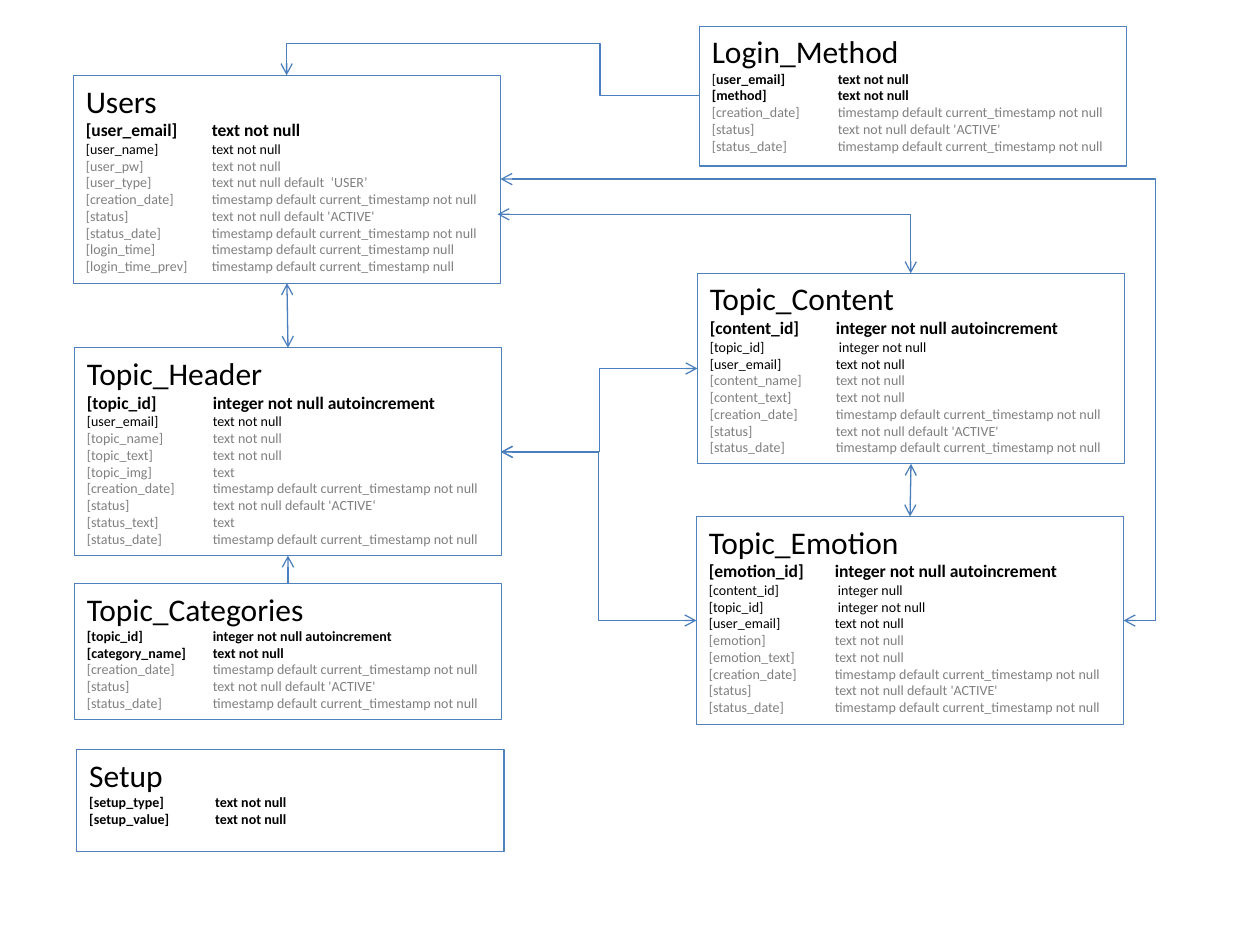
from dataclasses import dataclass

from lxml import etree
from pptx import Presentation
from pptx.dml.color import RGBColor
from pptx.enum.shapes import MSO_CONNECTOR, MSO_SHAPE
from pptx.enum.text import MSO_ANCHOR, PP_ALIGN
from pptx.oxml.ns import qn
from pptx.util import Cm, Pt

RECTANGLE = MSO_SHAPE.RECTANGLE
ELBOW, STRAIGHT = MSO_CONNECTOR.ELBOW, MSO_CONNECTOR.STRAIGHT
TOP, LEFT = MSO_ANCHOR.TOP, PP_ALIGN.LEFT
TOP_SIDE, BOTTOM_SIDE = 0, 2


@dataclass(frozen=True)
class Theme:
    font: str = "Calibri"
    black: RGBColor = RGBColor(0, 0, 0)
    grey: RGBColor = RGBColor(0x80, 0x80, 0x80)
    border: RGBColor = RGBColor(0x4F, 0x81, 0xBD)
    link: RGBColor = RGBColor(0x4B, 0x7E, 0xBC)
    title: Pt = Pt(18)
    key: Pt = Pt(10)
    field: Pt = Pt(8)
    line: Pt = Pt(0.75)


THEME = Theme()
STYLES = {
    "title": {"size": THEME.title, "bold": False, "color": THEME.black},
    "key": {"size": THEME.key, "bold": True, "color": THEME.black},
    "part": {"size": THEME.field, "bold": True, "color": THEME.black},
    "plain": {"size": THEME.field, "bold": False, "color": THEME.black},
    "grey": {"size": THEME.field, "bold": False, "color": THEME.grey},
}

TEXT = "text not null"
SERIAL = "integer not null autoincrement"
STAMP = "timestamp default current_timestamp not null"
STAMP_NULL = "timestamp default current_timestamp null"
CREATED = ("grey", "[creation_date]", STAMP)
STATUS = ("grey", "[status]", "text not null default 'ACTIVE'")
STATUS_DATE = ("grey", "[status_date]", STAMP)
AUDIT = [CREATED, STATUS, STATUS_DATE]

BOX_WIDTH = 8.61
# name: (left, top, height in cm, fields)
TABLES = {
    "Topic_Header": (1.5, 7.01, 4.19, [
        ("key", "[topic_id] ", SERIAL),
        ("plain", "[user_email]", TEXT),
        ("grey", "[topic_name] ", TEXT),
        ("grey", "[topic_text] ", TEXT),
        ("grey", "[topic_img]", "text"),
        CREATED,
        ("grey", "[status]", "text not null default 'ACTIVE‘"),
        ("grey", "[status_text]", "text"),
        STATUS_DATE]),
    "Users": (1.48, 1.52, 4.19, [
        ("key", "[user_email] ", TEXT),
        ("plain", "[user_name]", TEXT),
        ("grey", "[user_pw]", TEXT),
        ("grey", "[user_type]", "text nut null default  ‘USER’"),
        *AUDIT,
        ("grey", "[login_time]", STAMP_NULL),
        ("grey", "[login_time_prev]", STAMP_NULL)]),
    "Login_Method": (14.1, 0.53, 2.82, [
        ("part", "[user_email] ", TEXT),
        ("part", "[method]", TEXT),
        *AUDIT]),
    "Topic_Categories": (1.5, 11.76, 2.74, [
        ("part", "[topic_id] ", SERIAL),
        ("part", "[category_name]", TEXT),
        *AUDIT]),
    "Topic_Content": (14.06, 5.51, 3.84, [
        ("key", "[content_id] ", SERIAL),
        ("plain", "[topic_id]", " integer not null"),
        ("plain", "[user_email] ", TEXT),
        ("grey", "[content_name] ", TEXT),
        ("grey", "[content_text] ", TEXT),
        *AUDIT]),
    "Topic_Emotion": (14.04, 10.41, 4.19, [
        ("key", "[emotion_id] ", SERIAL),
        ("plain", "[content_id]", " integer null"),
        ("plain", "[topic_id]", " integer not null"),
        ("plain", "[user_email] ", TEXT),
        ("grey", "[emotion] ", TEXT),
        ("grey", "[emotion_text] ", TEXT),
        *AUDIT]),
    "Setup": (1.55, 15.11, 2.06, [
        ("part", "[setup_type]", TEXT),
        ("part", "[setup_value]", TEXT)]),
}

# (lower table, upper table, ends with an arrowhead)
VERTICAL_LINKS = [
    ("Topic_Header", "Users", ("headEnd", "tailEnd")),
    ("Topic_Categories", "Topic_Header", ("tailEnd",)),
    ("Topic_Emotion", "Topic_Content", ("headEnd", "tailEnd")),
]
# (start, end in cm, preset, bends as thousandths of a percent, arrowheads)
BENT_LINKS = [
    ((14.1, 1.93), (5.78, 1.52), "bentConnector4", (24100, 254700), ("tailEnd",)),
    ((10.03, 4.32), (18.36, 5.51), "bentConnector2", (), ("headEnd", "tailEnd")),
    ((10.1, 9.11), (14.04, 12.51), "bentConnector3", (50000,), ("headEnd", "tailEnd")),
    ((10.1, 9.11), (14.06, 7.43), "bentConnector3", (50000,), ("headEnd", "tailEnd")),
    ((10.09, 3.61), (22.65, 12.51), "bentConnector3", (105100,), ("headEnd", "tailEnd")),
]


def add_text(paragraph, text, style):
    run = paragraph.add_run()
    run.text = text
    run.font.name = THEME.font
    for name, value in STYLES[style].items():
        if name == "color":
            run.font.color.rgb = value
        else:
            setattr(run.font, name, value)


def finish_connector(connector, arrowheads):
    """Set the line, its open arrowheads and no shadow."""
    connector.line.color.rgb = THEME.link
    connector.line.width = THEME.line
    properties = connector._element.spPr
    for end in arrowheads:
        etree.SubElement(properties.find(qn("a:ln")), qn("a:" + end), type="arrow")
    etree.SubElement(properties, qn("a:effectLst"))


presentation = Presentation()
presentation.slide_width, presentation.slide_height = Cm(25.4), Cm(19.05)
slide = presentation.slides.add_slide(presentation.slide_layouts[6])

boxes = {}
for table, (left, top, height, fields) in TABLES.items():
    shape = slide.shapes.add_shape(
        RECTANGLE, Cm(left), Cm(top), Cm(BOX_WIDTH), Cm(height))
    shape.shadow.inherit = False
    shape.fill.background()
    shape.line.color.rgb = THEME.border
    shape.line.width = THEME.line
    frame = shape.text_frame
    frame.word_wrap = True
    frame.vertical_anchor = TOP
    paragraph = frame.paragraphs[0]
    paragraph.alignment = LEFT
    add_text(paragraph, table, "title")
    for style, column, column_type in fields:
        paragraph = frame.add_paragraph()
        paragraph.alignment = LEFT
        tabs = etree.SubElement(paragraph._p.get_or_add_pPr(), qn("a:tabLst"))
        etree.SubElement(tabs, qn("a:tab"), pos=str(Cm(2.54)), algn="l")
        text = f"{column}\t{column_type}"
        if table == "Login_Method" and column == "[user_email] ":
            add_text(paragraph, "[", "plain")
            text = text[1:]
        add_text(paragraph, text, style)
    boxes[table] = shape

for lower, upper, arrowheads in VERTICAL_LINKS:
    connector = slide.shapes.add_connector(STRAIGHT, 0, 0, 0, 0)
    connector.begin_connect(boxes[lower], TOP_SIDE)
    connector.end_connect(boxes[upper], BOTTOM_SIDE)
    finish_connector(connector, arrowheads)

for start, end, preset, bends, arrowheads in BENT_LINKS:
    connector = slide.shapes.add_connector(ELBOW, *map(Cm, start + end))
    geometry = connector._element.spPr.find(qn("a:prstGeom"))
    geometry.set("prst", preset)
    for number, bend in enumerate(bends, 1):
        etree.SubElement(geometry.find(qn("a:avLst")), qn("a:gd"),
                         name=f"adj{number}", fmla=f"val {bend}")
    finish_connector(connector, arrowheads)

presentation.save("out.pptx")
